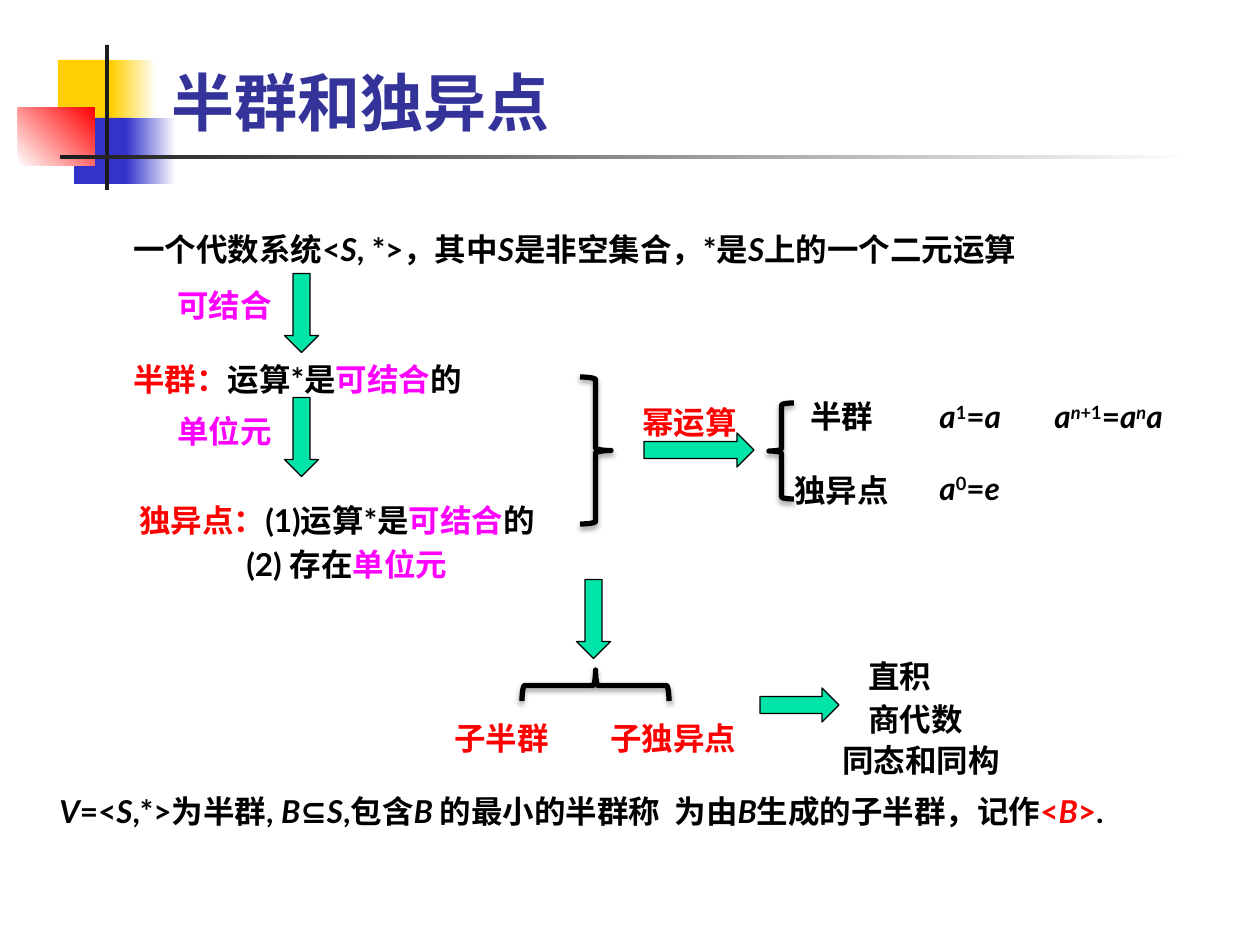
from dataclasses import dataclass
from typing import NamedTuple

from lxml.etree import SubElement
from pptx import Presentation
from pptx.dml.color import RGBColor
from pptx.enum.shapes import MSO_SHAPE as Kind
from pptx.enum.text import MSO_ANCHOR as Anchor, MSO_AUTO_SIZE as Fit, PP_ALIGN as Align
from pptx.oxml.ns import qn
from pptx.util import Emu, Pt

INK = {
    "black": "000000", "white": "FFFFFF", "red": "FF0000", "pink": "FF00FF",
    "title": "333399", "gold": "FFCF01", "blue": "3333CC", "dark": "1C1C1C",
    "green": "00E4A8",
}
SCALE = 914400 / 126


class Box(NamedTuple):
    x: int
    y: int
    w: int
    h: int = 50


@dataclass
class Bit:
    """A stretch of text in one format."""
    text: str
    ink: str = "black"
    ital: bool = False
    sup: bool = False


@dataclass
class Note:
    box: Box
    lines: list[list[Bit]]
    space: float = 1.0
    wrap: bool = False
    indent: int = 0  # of the lines after the first


@dataclass
class Block:
    box: Box
    ink: str
    fade: str = ""
    angle: int = 0


@dataclass
class Mark:
    """An arrow or a brace."""
    box: Box
    turn: int = 0


def px(n: int) -> Emu:
    return Emu(round(n * SCALE))


def rgb(name: str) -> RGBColor:
    return RGBColor.from_string(INK[name])


def var(text: str, ink: str = "black") -> Bit:
    return Bit(text, ink, ital=True)


def power(text: str, ital: bool = False) -> Bit:
    return Bit(text, ital=ital, sup=True)


def write(para, text: str, *, ink: str = "black", ital: bool = False,
          sup: bool = False, size: int = 18, face: str = "Lato") -> None:
    run = para.add_run()
    run.text = text
    font = run.font
    font.name, font.size, font.bold, font.italic = face, Pt(size), True, ital
    font.color.rgb = rgb(ink)
    if sup:
        font._element.set("baseline", "30000")


def add_note(shapes, note: Note) -> None:
    frame = shapes.add_textbox(*map(px, note.box)).text_frame
    frame.word_wrap = note.wrap
    frame.auto_size = Fit.SHAPE_TO_FIT_TEXT
    for i, line in enumerate(note.lines):
        para = frame.add_paragraph() if i else frame.paragraphs[0]
        if i:
            para.space_before = Pt(3.6)
            para._p.get_or_add_pPr().set("marL", str(px(note.indent)))
        if note.space != 1:
            para.line_spacing = note.space
        for bit in line:
            write(para, bit.text, ink=bit.ink, ital=bit.ital, sup=bit.sup)


def add_shape(shapes, kind: Kind, box: Box, turn: int = 0):
    shape = shapes.add_shape(kind, *map(px, box))
    shape.shadow.inherit = False
    shape.rotation = turn
    return shape


def add_block(shapes, block: Block) -> None:
    shape = add_shape(shapes, Kind.RECTANGLE, block.box)
    shape.line.fill.background()
    fill = shape.fill
    if block.fade:
        fill.gradient()
        fill.gradient_angle = block.angle
        for stop, name in zip(fill.gradient_stops, (block.ink, block.fade)):
            stop.color.rgb = rgb(name)
    else:
        fill.solid()
        fill.fore_color.rgb = rgb(block.ink)


def add_arrow(shapes, mark: Mark) -> None:
    shape = add_shape(shapes, Kind.RIGHT_ARROW, mark.box, mark.turn)
    shape.fill.solid()
    shape.fill.fore_color.rgb = rgb("green")
    shape.line.color.rgb = rgb("black")
    shape.line.width = Pt(0.75)


def add_brace(shapes, mark: Mark) -> None:
    shape = add_shape(shapes, Kind.LEFT_BRACE, mark.box, mark.turn)
    shape.fill.background()
    shape.line.color.rgb = rgb("black")
    shape.line.width = Pt(3)
    effects = shape._element.spPr.find(qn("a:effectLst"))
    shade = SubElement(effects, qn("a:outerShdw"), blurRad=str(Pt(3.1)),
                       dist=str(Pt(1.8)), dir="5400000", rotWithShape="0")
    tone = SubElement(shade, qn("a:srgbClr"), val=INK["black"])
    SubElement(tone, qn("a:alpha"), val="35000")


def add_title(shapes, text: str, box: Box) -> None:
    title = shapes.title
    title.left, title.top, title.width, title.height = map(px, box)
    frame = title.text_frame
    frame.auto_size = Fit.NONE
    frame.vertical_anchor = Anchor.BOTTOM
    para = frame.paragraphs[0]
    para.alignment = Align.LEFT
    write(para, text, ink="title", size=36, face="Times New Roman")


BLOCKS = [
    Block(Box(58, 60, 60, 66), "gold"),
    Block(Box(111, 60, 45, 66), "gold", "white"),
    Block(Box(74, 118, 58, 66), "blue"),
    Block(Box(126, 118, 50, 66), "blue", "white"),
    Block(Box(18, 108, 77, 58), "white", "red", 45),
    Block(Box(105, 45, 4, 145), "dark"),
    Block(Box(60, 155, 1134, 4), "dark", "white"),
]
ARROWS = [
    Mark(Box(262, 296, 79, 34), 90),
    Mark(Box(262, 420, 79, 34), 90),
    Mark(Box(644, 433, 110, 34)),
    Mark(Box(554, 602, 79, 34), 90),
    Mark(Box(760, 688, 79, 34)),
]
BRACES = [
    Mark(Box(580, 377, 31, 147), 180),
    Mark(Box(769, 403, 25, 96)),
    Mark(Box(580, 612, 31, 147), 90),
]
LABELS = [
    (Box(165, 280, 120), "可结合", "pink"),
    (Box(165, 406, 120), "单位元", "pink"),
    (Box(630, 397, 120), "幂运算", "red"),
    (Box(798, 391, 88), "半群", "black"),
    (Box(782, 465, 120), "独异点", "black"),
    (Box(442, 713, 120), "子半群", "red"),
    (Box(598, 713, 152), "子独异点", "red"),
    (Box(856, 651, 88), "直积", "black"),
    (Box(856, 694, 120), "商代数", "black"),
    (Box(830, 735, 184), "同态和同构", "black"),
]
NOTES = [
    Note(Box(121, 224, 956), [[
        Bit("一个代数系统<"), var("S"), Bit(", *>，其中"), var("S"),
        Bit("是非空集合，*是"), var("S"), Bit("上的一个二元运算")]], wrap=True),
    Note(Box(121, 354, 362), [[
        Bit("半群：", "red"), Bit("运算*是"), Bit("可结合", "pink"), Bit("的")]], wrap=True),
    Note(Box(127, 495, 452, 97), [
        [Bit("独异点：", "red"), Bit("(1)运算*是"), Bit("可结合", "pink"), Bit("的")],
        [Bit("(2) 存在"), Bit("单位元", "pink")]], wrap=True, indent=107),
    Note(Box(927, 391, 102), [[var("a"), power("1"), Bit("="), var("a")]]),
    Note(Box(1042, 391, 164), [[
        var("a"), power("n", True), power("+1"), Bit("="),
        var("a"), power("n", True), var("a")]]),
    Note(Box(927, 455, 102, 58), [[var("a"), power("0"), Bit("="), var("e")]], space=1.2),
    Note(Box(47, 775, 1158, 62), [[
        var("V"), Bit("=<"), var("S"), Bit(",*>为半群, "), var("B"), Bit("⊆"), var("S"),
        Bit(",包含"), var("B "), Bit("的最小的半群称  为由"), var("B"),
        Bit("生成的子半群，记作"), Bit("<", "red"), var("B", "red"), Bit(">", "red"),
        Bit(".")]], space=1.3),
]


def main() -> None:
    deck = Presentation()
    deck.slide_width, deck.slide_height = px(1260), px(945)
    shapes = deck.slides.add_slide(deck.slide_layouts[5]).shapes
    for block in BLOCKS:
        add_block(shapes, block)
    add_title(shapes, "半群和独异点", Box(159, 10, 1074, 135))
    for arrow in ARROWS:
        add_arrow(shapes, arrow)
    for brace in BRACES:
        add_brace(shapes, brace)
    labels = [Note(box, [[Bit(text, ink)]]) for box, text, ink in LABELS]
    for note in NOTES + labels:
        add_note(shapes, note)
    deck.save("out.pptx")


if __name__ == "__main__":
    main()
